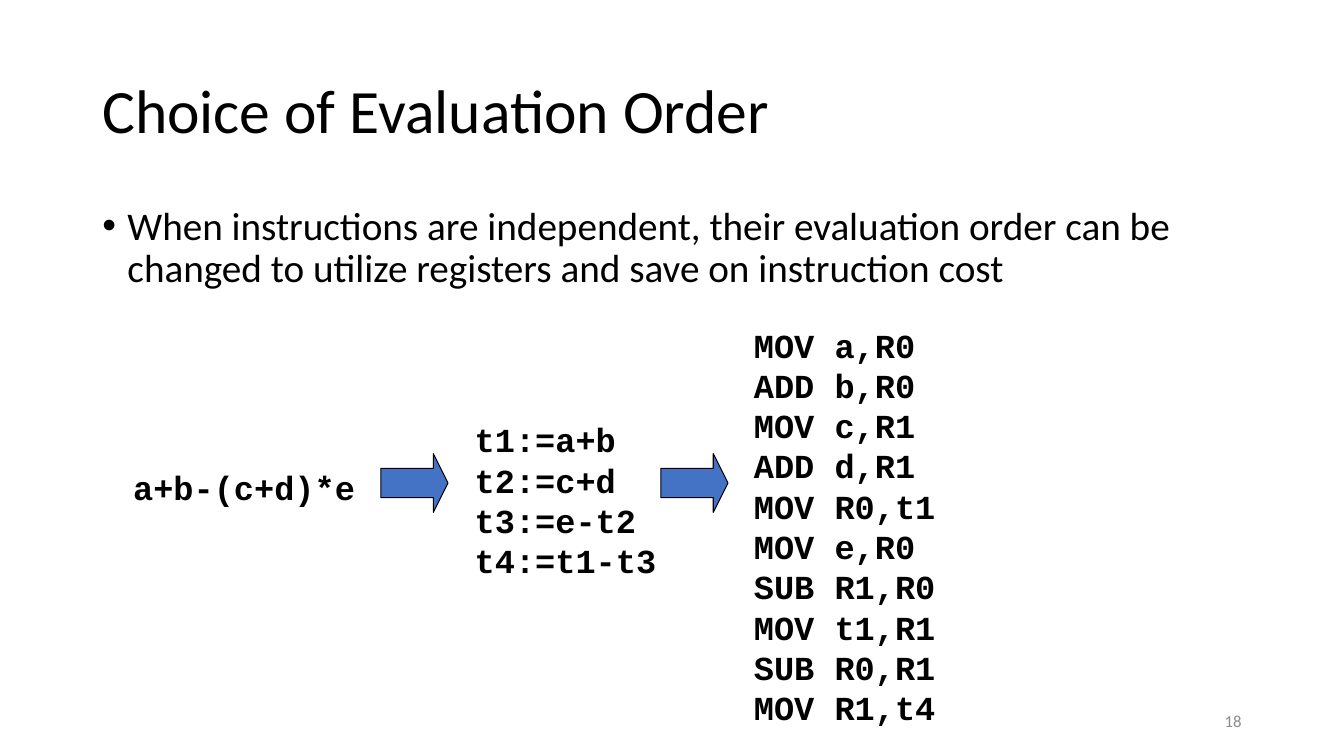
from pptx import Presentation
from pptx.dml.color import RGBColor
from pptx.enum.shapes import MSO_SHAPE
from pptx.enum.text import MSO_ANCHOR, MSO_AUTO_SIZE, PP_ALIGN
from pptx.oxml import parse_xml
from pptx.oxml.ns import nsdecls
from pptx.util import Pt


def color(text):
    return RGBColor.from_string(text)


def apply(target, values):
    for name, value in values.items():
        setattr(target, name, value)


class Page:
    ink = "000000"
    fill = "4472C4"
    sans = "Calibri"
    mono = "Courier New"

    def __init__(self, deck):
        self.slide = deck.slides.add_slide(deck.slide_layouts[6])

    def text(self, box, paras, font, frame=None, form=None, ink=None, bullet=False):
        shape = self.slide.shapes.add_textbox(*map(Pt, box))
        body = shape.text_frame
        apply(body, {"word_wrap": True, **(frame or {})})
        for count, words in enumerate(paras):
            para = body.add_paragraph() if count else body.paragraphs[0]
            para.text = words
            apply(para, form or {})
            if bullet:
                props = para._p.get_or_add_pPr()
                props.set("marL", str(Pt(18)))
                props.set("indent", str(Pt(-18)))
                props.append(parse_xml(f'<a:buFont {nsdecls("a")} typeface="Arial"/>'))
                props.append(parse_xml(f'<a:buChar {nsdecls("a")} char="•"/>'))
            for run in para.runs:
                apply(run.font, font)
                run.font.color.rgb = color(ink or self.ink)

    def code(self, box, paras):
        font = {"name": self.mono, "size": Pt(24), "bold": True}
        frame = {"word_wrap": False, "auto_size": MSO_AUTO_SIZE.SHAPE_TO_FIT_TEXT}
        self.text(box, paras, font, frame)

    def arrow(self, left, top):
        shape = self.slide.shapes.add_shape(
            MSO_SHAPE.DOWN_ARROW, Pt(left), Pt(top), Pt(42), Pt(48))
        shape.rotation = 270
        shape.adjustments[0] = 0.5
        shape.adjustments[1] = 0.25
        shape.shadow.inherit = False
        shape.fill.solid()
        shape.fill.fore_color.rgb = color(self.fill)
        shape.line.color.rgb = color(self.ink)
        shape.line.width = Pt(0.75)


def main():
    deck = Presentation()
    apply(deck, {"slide_width": Pt(960), "slide_height": Pt(540)})
    page = Page(deck)
    middle = {"vertical_anchor": MSO_ANCHOR.MIDDLE}
    tight = {"line_spacing": 0.9}

    page.text((678, 500.5, 216, 28.75), ["18"],
              {"name": page.sans, "size": Pt(12)}, middle,
              {"alignment": PP_ALIGN.RIGHT}, "8C8C8C")
    page.text((66, 28.75, 828, 104.4), ["Choice of Evaluation Order"],
              {"name": page.sans, "size": Pt(44)}, middle, tight)
    page.text((66, 143.75, 828, 342.6),
              ["When instructions are independent, their evaluation order can be "
               "changed to utilize registers and save on instruction cost"],
              {"name": page.sans, "size": Pt(28)}, form=tight, bullet=True)

    page.code((332, 296, 145.5, 123.8), ["t1:=a+b\nt2:=c+d\nt3:=e-t2\nt4:=t1-t3"])
    page.code((88, 330, 174.2, 36), ["a+b-(c+d)*e"])
    page.code((531.4, 228.2, 145.5, 298),
              ["MOV a,R0\nADD b,R0", "MOV c,R1\nADD d,R1",
               "MOV R0,t1\nMOV e,R0\nSUB R1,R0\nMOV t1,R1\nSUB R0,R1\nMOV R1,t4"])
    for left in (275, 475):
        page.arrow(left, 321)

    deck.save("out.pptx")


if __name__ == "__main__":
    main()
